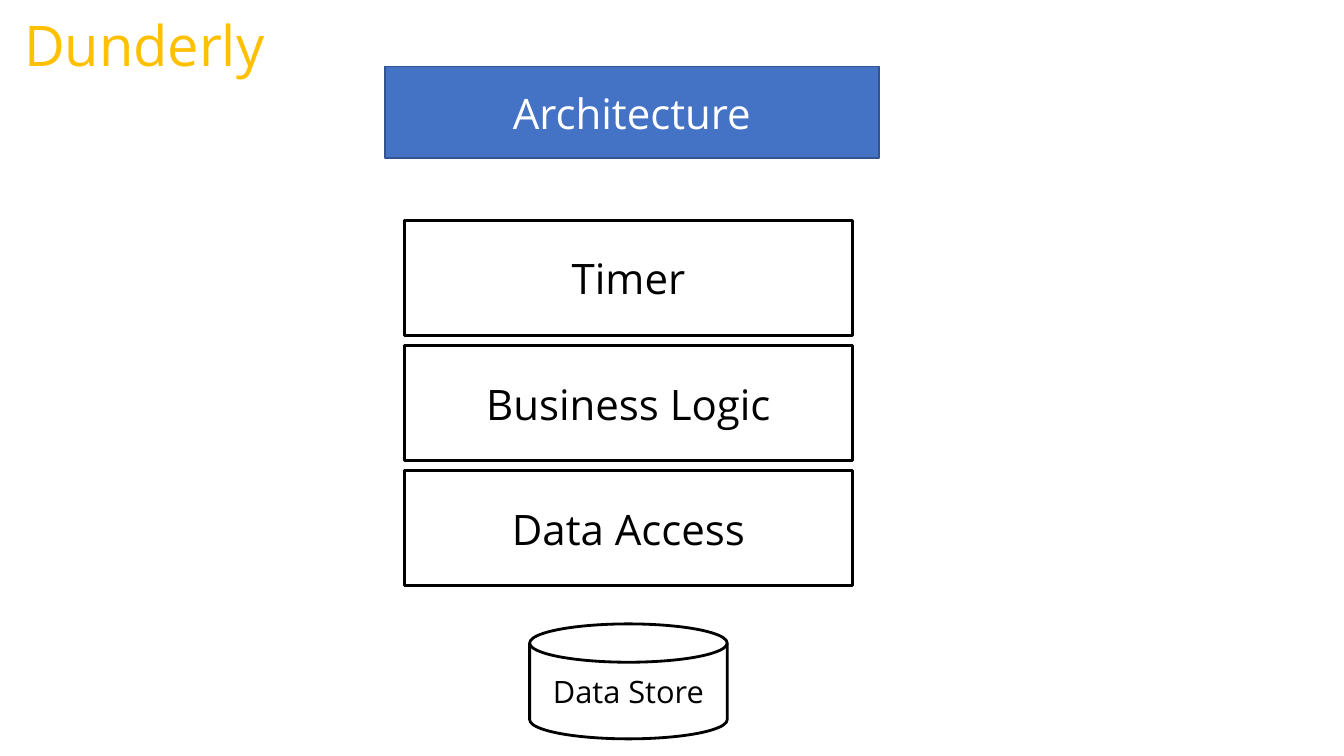
import pptx
import pptx.util
import pptx.dml.color
import pptx.enum.shapes
import pptx.enum.text

Pt = pptx.util.Pt
SHAPE = pptx.enum.shapes.MSO_SHAPE
ALIGN = pptx.enum.text.PP_ALIGN
ANCHOR = pptx.enum.text.MSO_ANCHOR

# Content
TITLE = "Dunderly"
HEADER = "Architecture"
LAYERS = ["Timer", "Business Logic", "Data Access"]
STORE = "Data Store"

# Layout in points
LAYER_LEFT, LAYER_TOP = 288.7, 157.7
LAYER_W, LAYER_H, LAYER_STEP = 320.4, 82.1, 89.3
STORE_W, STORE_TOP = 141.1, 445.7


def rgb(value):
    return pptx.dml.color.RGBColor.from_string(value)


def put_text(sp, text, size=30, color="000000", align=ALIGN.CENTER,
             anchor=ANCHOR.MIDDLE, wrap=True):
    tf = sp.text_frame
    tf.word_wrap = wrap
    tf.vertical_anchor = anchor
    p = tf.paragraphs[0]
    p.alignment = align
    r = p.add_run()
    r.text = text
    r.font.name = "Open Sans"
    r.font.size = Pt(size)
    r.font.color.rgb = rgb(color)


def add_box(s, kind, left, top, width, height, text, fill=None,
            line="000000", weight=2, **text_format):
    sp = s.shapes.add_shape(kind, Pt(left), Pt(top), Pt(width), Pt(height))
    sp.shadow.inherit = False
    if fill:
        sp.fill.solid()
        sp.fill.fore_color.rgb = rgb(fill)
    else:
        sp.fill.background()
    sp.line.color.rgb = rgb(line)
    sp.line.width = Pt(weight)
    put_text(sp, text, **text_format)


prs = pptx.Presentation()
prs.slide_width, prs.slide_height = Pt(960), Pt(540)
s = prs.slides.add_slide(prs.slide_layouts[6])

# Header bar
add_box(s, SHAPE.RECTANGLE, 275, 47.5, 352.8, 65.5, HEADER,
        fill="4472C4", line="325491", weight=1, color="FFFFFF")

# Stacked layers
for i, layer in enumerate(LAYERS):
    add_box(s, SHAPE.RECTANGLE, LAYER_LEFT, LAYER_TOP + i * LAYER_STEP,
            LAYER_W, LAYER_H, layer)

# Data store, centred under the layers
add_box(s, SHAPE.FLOWCHART_MAGNETIC_DISK, LAYER_LEFT + (LAYER_W - STORE_W) / 2,
        STORE_TOP, STORE_W, LAYER_H, STORE, size=22)

# Title
tb = s.shapes.add_textbox(Pt(10.1), Pt(4.3), Pt(198), Pt(55.4))
put_text(tb, TITLE, size=40, color="FFC000", align=ALIGN.LEFT,
         anchor=ANCHOR.TOP, wrap=False)
tb.text_frame.auto_size = pptx.enum.text.MSO_AUTO_SIZE.SHAPE_TO_FIT_TEXT

prs.save("out.pptx")
